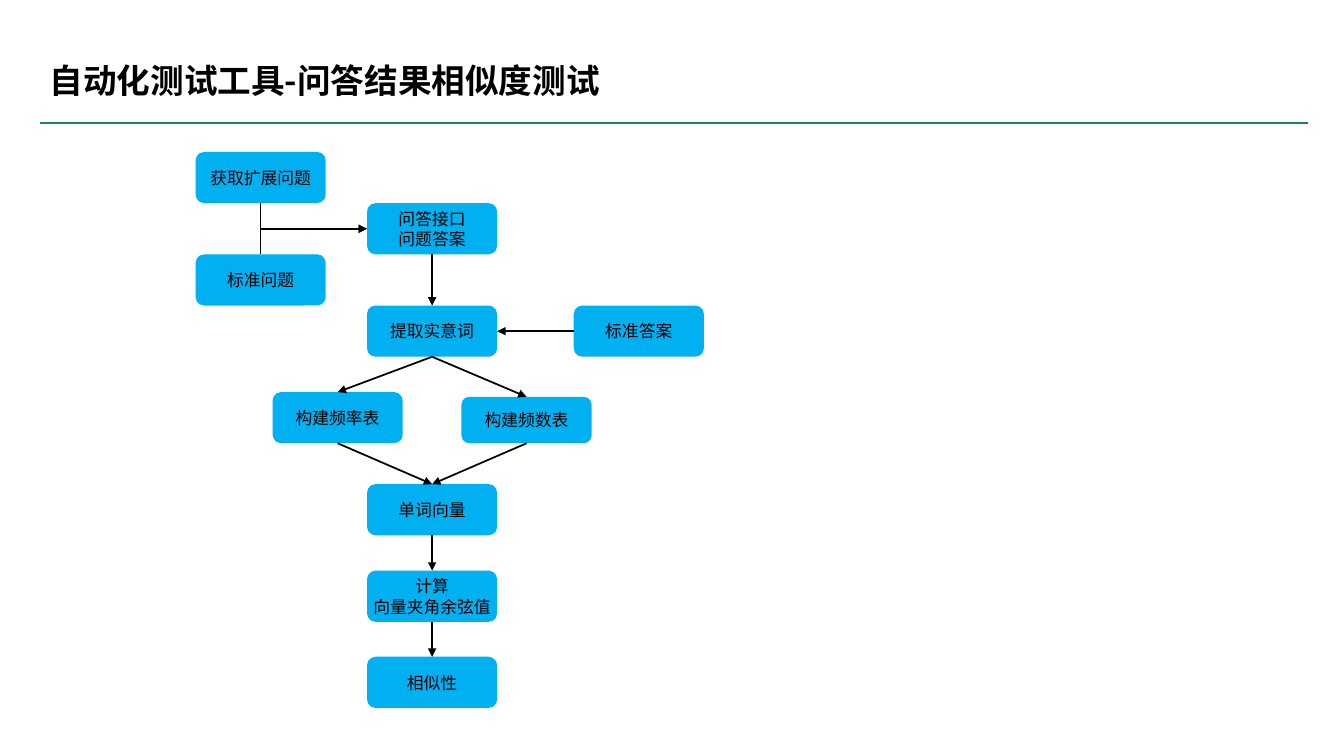
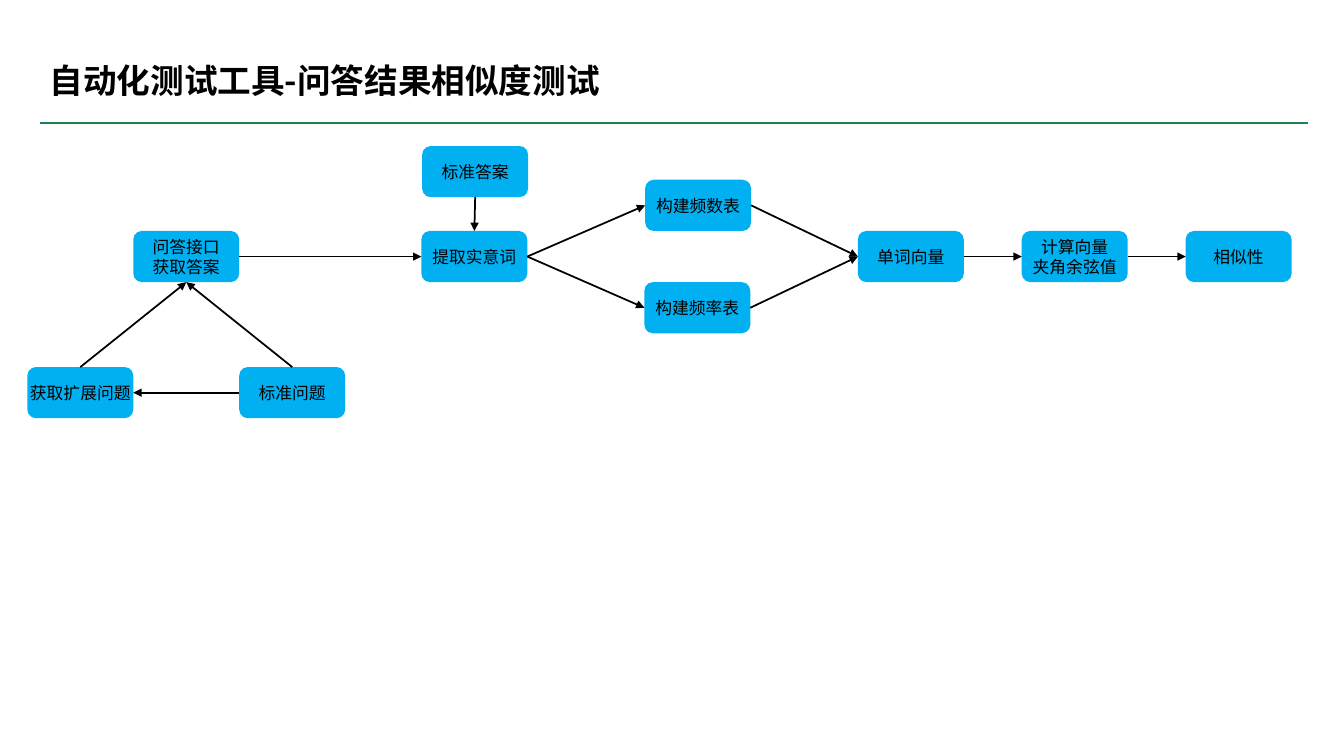
from lxml.etree import SubElement
from pptx import Presentation
from pptx.dml.color import RGBColor
from pptx.enum.shapes import MSO_CONNECTOR as Connector, MSO_SHAPE as Shape
from pptx.enum.text import MSO_ANCHOR as Anchor, MSO_AUTO_SIZE as AutoSize, PP_ALIGN as Align
from pptx.oxml.ns import qn
from pptx.util import Cm, Pt

FONT = "Noto Sans CJK SC"
BLACK, GREEN, BLUE = "000000", "1C8450", "00B0F0"
TITLE = "自动化测试工具-问答结果相似度测试"
TITLE_ONLY = 5
BOX_HEIGHT = 1.29
TOP, LEFT, BOTTOM, RIGHT = range(4)


def color(hex_code):
    return RGBColor.from_string(hex_code)


def format_text(shape, size, align, bold=False):
    for paragraph in shape.text_frame.paragraphs:
        paragraph.alignment = align
        font = paragraph.font
        font.name, font.size, font.bold = FONT, Pt(size), bold
        font.color.rgb = color(BLACK)
    for properties in shape.element.iter(qn("a:defRPr")):
        SubElement(properties, qn("a:ea"), typeface=FONT)


def style_line(connector, hex_code, width):
    connector.line.color.rgb = color(hex_code)
    connector.line.width = Pt(width)
    SubElement(connector.element.spPr, qn("a:effectLst"))


def add_titled_slide(presentation):
    """Add a slide with the shared title and the green rule below it."""
    slide = presentation.slides.add_slide(presentation.slide_layouts[TITLE_ONLY])
    title = slide.shapes.title
    title.left, title.top, title.width, title.height = Cm(1), Cm(0.92), Cm(15.2), Cm(2.3)
    frame = title.text_frame
    frame.text = TITLE
    frame.word_wrap = True
    frame.auto_size = AutoSize.NONE
    frame.vertical_anchor = Anchor.MIDDLE
    frame.paragraphs[0].line_spacing = 0.9
    format_text(title, 24, Align.LEFT, bold=True)

    rule = slide.shapes.add_connector(Connector.STRAIGHT, Cm(1), Cm(3.11), Cm(32.97), Cm(3.11))
    style_line(rule, GREEN, 1.5)
    return slide


def add_box(slide, text, left, top, width, height=BOX_HEIGHT):
    box = slide.shapes.add_shape(Shape.ROUNDED_RECTANGLE, Cm(left), Cm(top), Cm(width), Cm(height))
    box.shadow.inherit = False
    box.fill.solid()
    box.fill.fore_color.rgb = color(BLUE)
    box.line.fill.background()
    frame = box.text_frame
    frame.text = text
    frame.word_wrap = True
    frame.vertical_anchor = Anchor.MIDDLE
    frame.margin_left = frame.margin_top = frame.margin_right = frame.margin_bottom = 0
    format_text(box, 12, Align.CENTER)
    return box


def side_middle(box, side):
    x = box.left + {LEFT: 0, RIGHT: box.width}.get(side, box.width // 2)
    y = box.top + {TOP: 0, BOTTOM: box.height}.get(side, box.height // 2)
    return x, y


def connect(slide, start, start_side, end, end_side, kind=Connector.STRAIGHT, arrow="tailEnd"):
    """Join the sides of two boxes; the arrowhead is at the end unless arrow is headEnd."""
    connector = slide.shapes.add_connector(
        kind, *side_middle(start, start_side), *side_middle(end, end_side))
    connector.begin_connect(start, start_side)
    connector.end_connect(end, end_side)
    style_line(connector, BLACK, 1.25)
    properties = connector.element.spPr
    SubElement(properties.find(qn("a:ln")), qn(f"a:{arrow}"), type="triangle")
    if kind == Connector.ELBOW:
        properties.find(qn("a:prstGeom")).set("prst", "bentConnector2")


def add_vertical_flow(presentation):
    slide = add_titled_slide(presentation)
    width, question_left, center_left, branch_offset = 3.28, 4.93, 9.25, 2.38
    rows = [3.83 + BOX_HEIGHT * row for row in range(4)]

    extended = add_box(slide, "获取扩展问题", question_left, rows[0], width)
    standard = add_box(slide, "标准问题", question_left, rows[2], width)
    answer = add_box(slide, "问答接口\n问题答案", center_left, rows[1], width)
    words = add_box(slide, "提取实意词", center_left, rows[3], width)
    reference = add_box(slide, "标准答案", 14.46, rows[3], width)
    rates = add_box(slide, "构建频率表", center_left - branch_offset, 9.88, width)
    counts = add_box(slide, "构建频数表", center_left + branch_offset, 10, width, 1.17)
    vector = add_box(slide, "单词向量", center_left, 12.2, width)
    cosine = add_box(slide, "计算\n向量夹角余弦值", center_left, 14.38, width)
    similarity = add_box(slide, "相似性", center_left, 16.55, width)

    for question, side in ((extended, BOTTOM), (standard, TOP)):
        connect(slide, answer, LEFT, question, side, Connector.ELBOW, "headEnd")
    for start, end in ((answer, words), (words, counts), (words, rates), (counts, vector),
                       (rates, vector), (vector, cosine), (cosine, similarity)):
        connect(slide, start, BOTTOM, end, TOP)
    connect(slide, reference, LEFT, words, RIGHT)


def add_horizontal_flow(presentation):
    slide = add_titled_slide(presentation)
    width, question_left, question_top = 2.67, 0.69, 9.25
    main_top, result_left, result_step = 5.82, 21.62, 4.13

    extended = add_box(slide, "获取扩展问题", question_left, question_top, width)
    standard = add_box(slide, "标准问题", question_left + 2 * width, question_top, width)
    answer = add_box(slide, "问答接口\n获取答案", question_left + width, main_top, width)
    words = add_box(slide, "提取实意词", 10.62, main_top, width)
    reference = add_box(slide, "标准答案", 10.64, 3.68, width)
    counts = add_box(slide, "构建频数表", 16.26, main_top - BOX_HEIGHT, width)
    rates = add_box(slide, "构建频率表", 16.24, main_top + BOX_HEIGHT, width)
    vector, cosine, similarity = [
        add_box(slide, text, result_left + result_step * index, main_top, width)
        for index, text in enumerate(("单词向量", "计算向量\n夹角余弦值", "相似性"))]

    for start, end in ((answer, words), (words, rates), (words, counts), (counts, vector),
                       (rates, vector), (vector, cosine), (cosine, similarity)):
        connect(slide, start, RIGHT, end, LEFT)
    for question in (extended, standard):
        connect(slide, question, TOP, answer, BOTTOM)
    connect(slide, standard, LEFT, extended, RIGHT)
    connect(slide, reference, BOTTOM, words, TOP)


def main():
    presentation = Presentation()
    presentation.slide_width, presentation.slide_height = Cm(33.87), Cm(19.05)
    add_vertical_flow(presentation)
    add_horizontal_flow(presentation)
    presentation.save("out.pptx")


if __name__ == "__main__":
    main()
